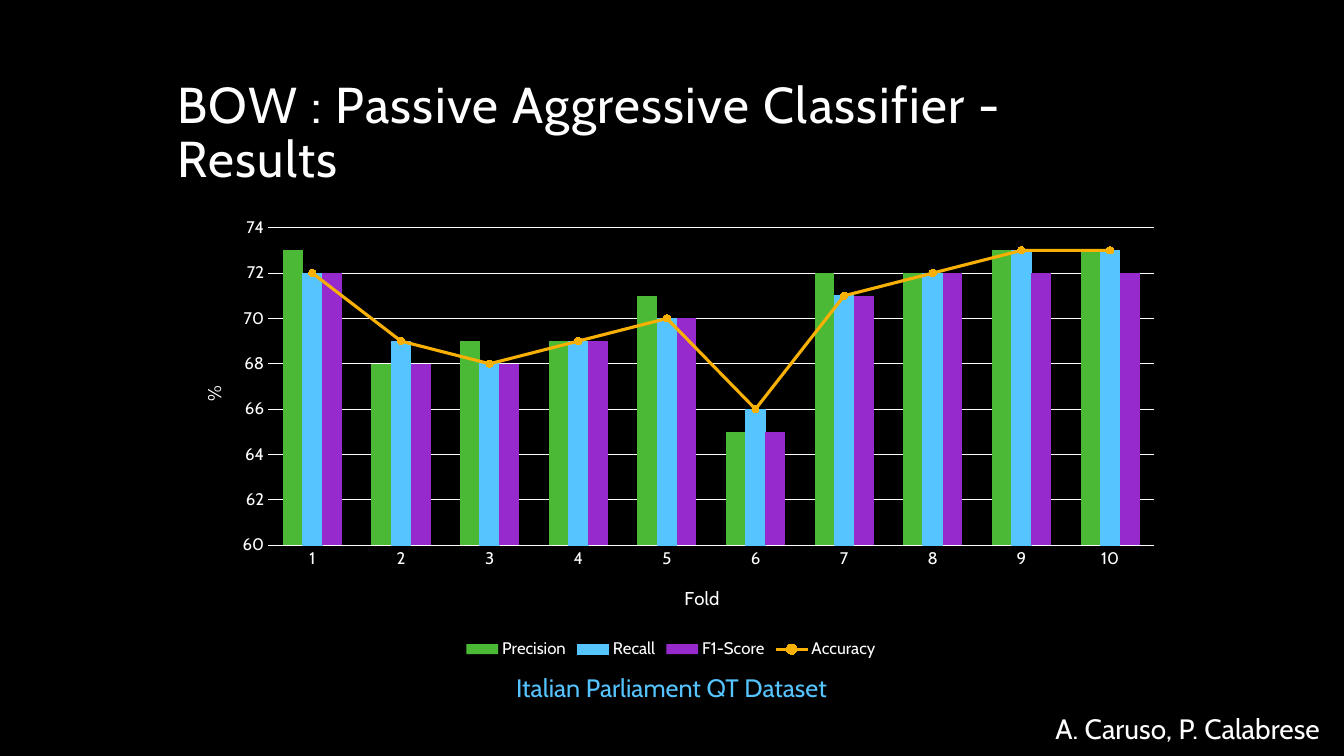
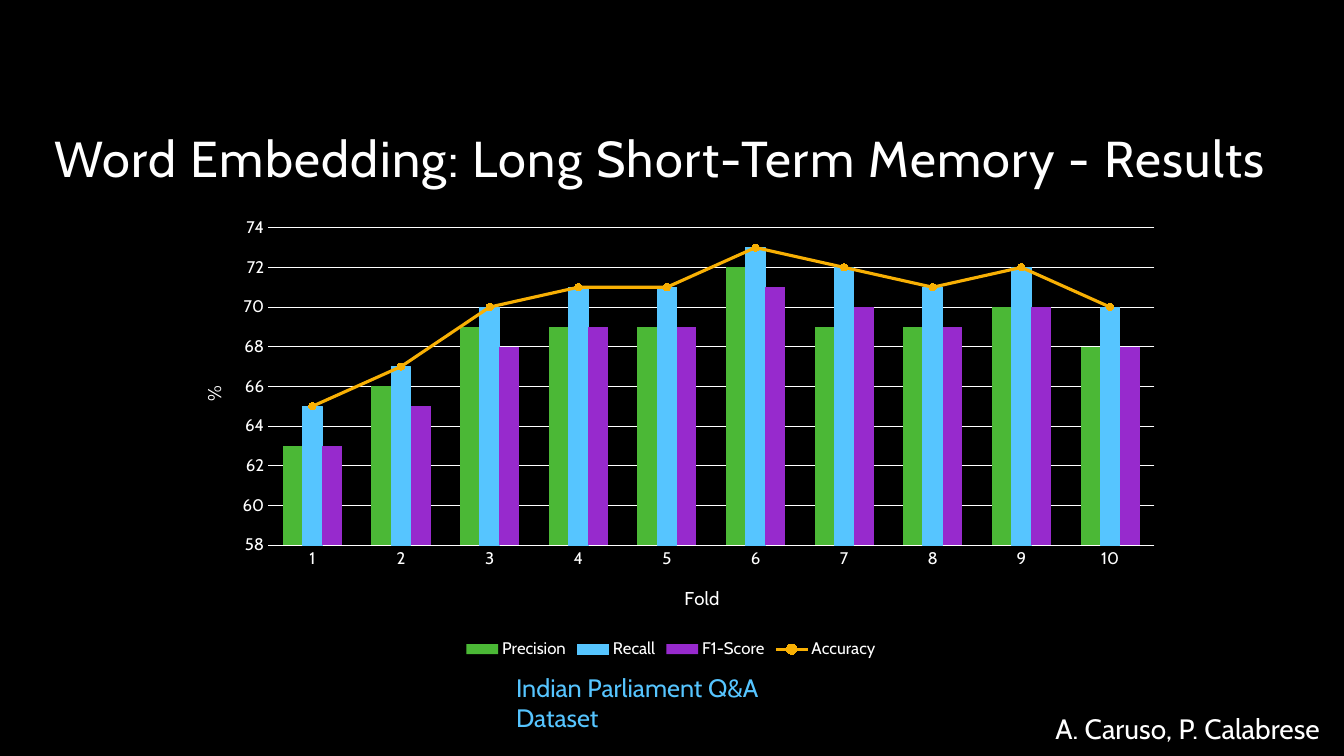
from dataclasses import dataclass

from lxml import etree
from pptx import Presentation
from pptx import util as u
from pptx.chart.data import CategoryChartData
from pptx.dml.color import RGBColor
from pptx.enum import chart as charts
from pptx.enum import text
from pptx.oxml.ns import qn
from pptx.oxml.xmlchemy import OxmlElement

WIDTH, HEIGHT = 13.33, 7.5
FONT = "Cabin"
BLACK, WHITE, SKY, AMBER = "000000", "FFFFFF", "56C5FF", "F8B004"
BAR_COLOURS = {"Precision": "4BB836", "Recall": SKY, "F1-Score": "972ACD"}
FOLDS = [str(fold) for fold in range(1, 11)]
AUTHORS = "A. Caruso, P. Calabrese"


@dataclass(frozen=True)
class Box:
    left: float
    top: float
    width: float
    height: float

    def inches(self):
        return [u.Inches(side) for side in (self.left, self.top, self.width, self.height)]


@dataclass(frozen=True)
class Result:
    title: str
    title_box: Box
    dataset: str
    axis_floor: int
    scores: dict[str, list[int]]


CHART_BOX = Box(1.66, 2.08, 9.99, 4.5)
AUTHORS_BOX = Box(10.37, 7.01, 2.9, 0.44)
DATASET_BOX = Box(5.02, 6.62, 3.4, 0.4)

RESULTS = [
    Result(
        "BOW : Passive Aggressive Classifier - Results",
        Box(1.66, 0.42, 10, 1.5),
        "Italian Parliament QT Dataset",
        60,
        {
            "Precision": [73, 68, 69, 69, 71, 65, 72, 72, 73, 73],
            "Recall": [72, 69, 68, 69, 70, 66, 71, 72, 73, 73],
            "F1-Score": [72, 68, 68, 69, 70, 65, 71, 72, 72, 72],
            "Accuracy": [72, 69, 68, 69, 70, 66, 71, 72, 73, 73],
        },
    ),
    Result(
        "Word Embedding: Long Short-Term Memory - Results",
        Box(0.44, 0.42, 12.36, 1.5),
        "Indian Parliament Q&A Dataset",
        58,
        {
            "Precision": [63, 66, 69, 69, 69, 72, 69, 69, 70, 68],
            "Recall": [65, 67, 70, 71, 71, 73, 72, 71, 72, 70],
            "F1-Score": [63, 65, 68, 69, 69, 71, 70, 69, 70, 68],
            "Accuracy": [65, 67, 70, 71, 71, 73, 72, 71, 72, 70],
        },
    ),
]


def rgb(colour: str) -> RGBColor:
    return RGBColor.from_string(colour)


def style_font(font, size: float, colour: str = WHITE) -> None:
    font.name = FONT
    font.size = u.Pt(size)
    font.bold = False
    font.color.rgb = rgb(colour)


def style_line(line, colour: str, width: float = 0.75) -> None:
    line.color.rgb = rgb(colour)
    line.width = u.Pt(width)


def add_title(slide, title: str, box: Box) -> None:
    heading = slide.shapes.title
    heading.left, heading.top, heading.width, heading.height = box.inches()
    frame = heading.text_frame
    frame.text = title
    frame.auto_size = text.MSO_AUTO_SIZE.NONE
    frame.vertical_anchor = text.MSO_ANCHOR.BOTTOM
    paragraph = frame.paragraphs[0]
    paragraph.alignment = text.PP_ALIGN.LEFT
    paragraph.line_spacing = 0.9
    run = paragraph.runs[0]
    style_font(run.font, 36)
    run.font._element.set("spc", "100")


def add_label(slide, label: str, box: Box, size: float, colour: str) -> None:
    frame = slide.shapes.add_textbox(*box.inches()).text_frame
    frame.word_wrap = True
    frame.text = label
    style_font(frame.paragraphs[0].runs[0].font, size, colour)


def place(element, **shares) -> None:
    layout = element.find(qn("c:layout"))
    if layout is None:
        layout = OxmlElement("c:layout")
        element.insert(0, layout)
    manual = etree.SubElement(layout, qn("c:manualLayout"))
    for tag, value in shares.items():
        etree.SubElement(manual, qn(f"c:{tag}")).set("val", str(value))


def style_axis(axis, title: str, x: float, y: float) -> None:
    axis.major_tick_mark = charts.XL_TICK_MARK.NONE
    axis.minor_tick_mark = charts.XL_TICK_MARK.NONE
    style_font(axis.tick_labels.font, 12)
    frame = axis.axis_title.text_frame
    frame.text = title
    style_font(frame.paragraphs[0].runs[0].font, 13.3)
    place(axis.axis_title._element, xMode="edge", yMode="edge", x=x, y=y)


def move_last_series_to_line(chart) -> None:
    bars = chart.plots[0]._element
    accuracy = bars.findall(qn("c:ser"))[-1]
    for bar_only in accuracy.findall(qn("c:invertIfNegative")):
        accuracy.remove(bar_only)
    lines = OxmlElement("c:lineChart")
    etree.SubElement(lines, qn("c:grouping")).set("val", "standard")
    etree.SubElement(lines, qn("c:varyColors")).set("val", "0")
    lines.append(accuracy)
    etree.SubElement(lines, qn("c:marker")).set("val", "1")
    for axis_id in bars.findall(qn("c:axId")):
        etree.SubElement(lines, qn("c:axId")).set("val", axis_id.get("val"))
    bars.addnext(lines)


def style_series(chart) -> None:
    bars, lines = chart.plots
    bars.gap_width = 150
    bars.overlap = 0
    bars.vary_by_categories = False
    for series in bars.series:
        series.format.fill.solid()
        series.format.fill.fore_color.rgb = rgb(BAR_COLOURS[series.name])
        if series.name == "Recall":
            style_line(series.format.line, SKY)
    accuracy = lines.series[0]
    accuracy.smooth = False
    style_line(accuracy.format.line, AMBER, 2.25)
    accuracy.marker.style = charts.XL_MARKER_STYLE.CIRCLE
    accuracy.marker.size = 5
    accuracy.marker.format.fill.solid()
    accuracy.marker.format.fill.fore_color.rgb = rgb(AMBER)
    style_line(accuracy.marker.format.line, AMBER)


def add_scores_chart(slide, result: Result) -> None:
    data = CategoryChartData()
    data.categories = FOLDS
    for measure, values in result.scores.items():
        data.add_series(measure, values)
    chart = slide.shapes.add_chart(
        charts.XL_CHART_TYPE.COLUMN_CLUSTERED, *CHART_BOX.inches(), data
    ).chart
    style_font(chart.font, 10)
    chart.has_title = False
    move_last_series_to_line(chart)
    style_series(chart)

    folds, percent = chart.category_axis, chart.value_axis
    style_axis(folds, "Fold", 0.51, 0.82)
    style_line(folds.format.line, WHITE)
    style_axis(percent, "%", 0.03, 0.38)
    percent.axis_title._element.find(f".//{qn('a:bodyPr')}").set("rot", "-5400000")
    percent.minimum_scale = result.axis_floor
    percent.maximum_scale = 74
    percent.major_unit = 2
    percent.format.line.fill.background()
    style_line(percent.major_gridlines.format.line, WHITE)

    chart.has_legend = True
    chart.legend.position = charts.XL_LEGEND_POSITION.BOTTOM
    chart.legend.include_in_layout = False
    style_font(chart.legend.font, 12)
    place(
        chart.plots[0]._element.getparent(),
        layoutTarget="inner", xMode="edge", yMode="edge",
        x=0.1, y=0.04, w=0.88, h=0.7,
    )


def add_result_slide(deck, result: Result) -> None:
    slide = deck.slides.add_slide(deck.slide_layouts.get_by_name("Title Only"))
    add_title(slide, result.title, result.title_box)
    add_scores_chart(slide, result)
    add_label(slide, AUTHORS, AUTHORS_BOX, 20, WHITE)
    add_label(slide, result.dataset, DATASET_BOX, 18, SKY)


def main() -> None:
    deck = Presentation()
    deck.slide_width, deck.slide_height = u.Inches(WIDTH), u.Inches(HEIGHT)
    backdrop = deck.slide_master.background.fill
    backdrop.solid()
    backdrop.fore_color.rgb = rgb(BLACK)
    for result in RESULTS:
        add_result_slide(deck, result)
    deck.save("out.pptx")


if __name__ == "__main__":
    main()
